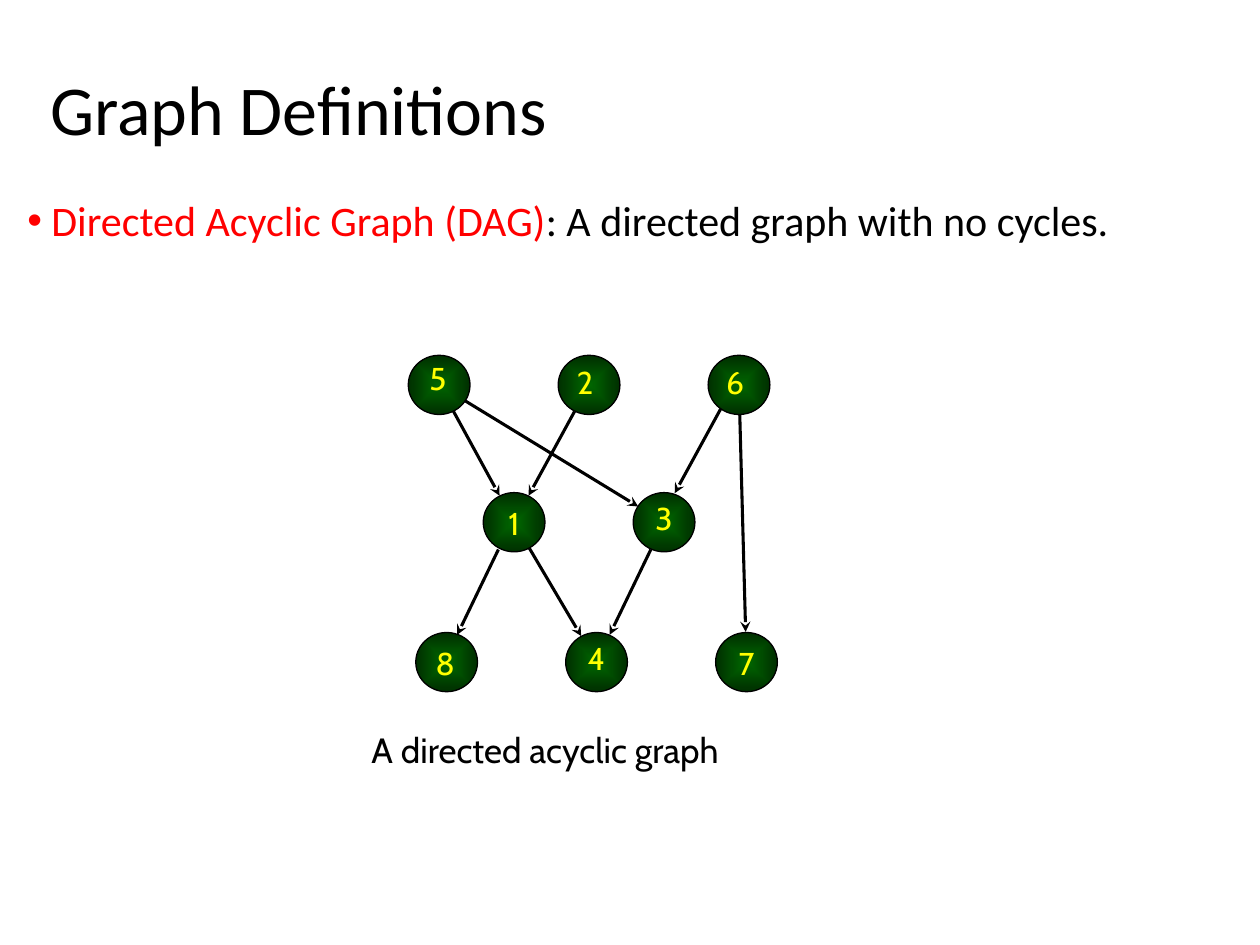
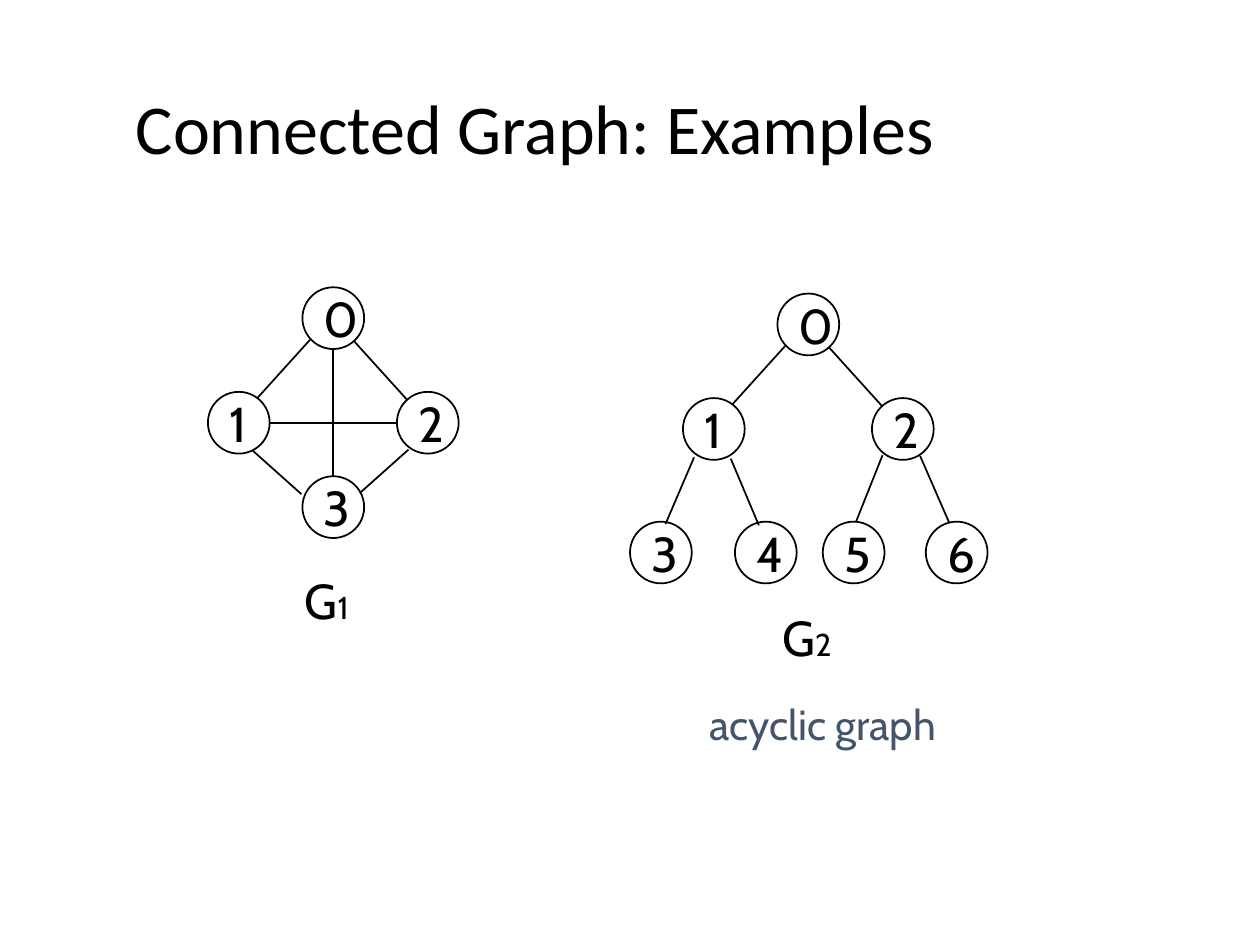
from math import hypot

from lxml import etree
from pptx import Presentation
from pptx.dml.color import RGBColor
from pptx.enum.shapes import MSO_CONNECTOR, MSO_SHAPE
from pptx.enum.text import MSO_ANCHOR, PP_ALIGN
from pptx.oxml.ns import qn
from pptx.util import Inches, Pt

OVAL = MSO_SHAPE.OVAL
STRAIGHT = MSO_CONNECTOR.STRAIGHT
TOP, MIDDLE = MSO_ANCHOR.TOP, MSO_ANCHOR.MIDDLE
LEFT, CENTER = PP_ALIGN.LEFT, PP_ALIGN.CENTER

BLACK = RGBColor(0x00, 0x00, 0x00)
WHITE = RGBColor(0xFF, 0xFF, 0xFF)
RED = RGBColor(0xFF, 0x00, 0x00)
YELLOW = RGBColor(0xFF, 0xFF, 0x00)
SLATE = RGBColor(0x44, 0x54, 0x6A)
GREEN = RGBColor(0x00, 0x66, 0x00)
DARK_GREEN = RGBColor(0x00, 0x2F, 0x00)

TITLE_FONT, GRAPH_FONT = "Calibri", "Cabin"
TITLE = {"size": 40, "font": TITLE_FONT, "anchor": MIDDLE}

# Content: each row is (top, {node: column}); an edge may end with a (dx, dy) shift
DAG = {
    "left": 3.24, "step": 1.19, "size": (0.49, 0.47),
    "rows": [
        (2.82, {"5": 0, "2": 1, "6": 2}),
        (3.91, {"1": 0.5, "3": 1.5}),
        (5.02, {"8": 0.05, "4": 1.05, "7": 2.05}),
    ],
    "edges": [
        ("5", "1"), ("2", "1"), ("5", "3"), ("3", "4"), ("1", "4"),
        ("6", "7"), ("6", "3", (-0.03, -0.02)), ("1", "8", (-0.02, 0)),
    ],
}
DAG_LABEL_OFFSETS = {
    "5": (0, -0.02), "2": (-0.02, 0.01), "6": (-0.02, 0.01), "1": (0.01, 0.04),
    "3": (0.01, 0), "8": (0, 0.04), "4": (0.01, 0), "7": (0.01, 0.04),
}
COMPLETE_GRAPH = {
    "left": 1.65, "step": 0.75, "size": (0.49, 0.49),
    "rows": [(2.28, {"0": 1}), (3.11, {"1": 0, "2": 2}), (3.78, {"3": 1})],
    "edges": [
        ("0", "3"), ("1", "2"), ("0", "1", (-0.02, -0.01)), ("0", "2"),
        ("1", "3", (-0.07, 0.06)), ("2", "3", (0.03, 0.05)),
    ],
}
TREE = {
    "left": 5.42, "step": 0.75, "size": (0.49, 0.49),
    "rows": [
        (2.33, {"0": 1}),
        (3.16, {"1": 0, "2": 2}),
        (4.14, {"3": -0.56, "4": 0.55, "5": 1.48, "6": 2.57}),
    ],
    "edges": [
        ("0", "1", (-0.02, -0.01)), ("0", "2"), ("1", "3", (-0.06, 0)),
        ("1", "4", (0.04, 0.01)), ("2", "5", (-0.07, -0.02)), ("2", "6", (0.04, -0.01)),
    ],
}
GRAPH_NAMES = [("1", 2.32, 4.48), ("2", 6.11, 4.77)]


def write_text(frame, runs, size=18, font=GRAPH_FONT, color=BLACK, align=LEFT,
               anchor=TOP, wrap=True, line_spacing=None):
    """Fill a frame with one paragraph; a run is text or (text, overrides)."""
    frame.word_wrap = wrap
    frame.vertical_anchor = anchor
    paragraph = frame.paragraphs[0]
    paragraph.alignment = align
    if line_spacing:
        paragraph.line_spacing = line_spacing
    for item in [runs] if isinstance(runs, str) else runs:
        text, changes = (item, {}) if isinstance(item, str) else item
        run = paragraph.add_run()
        run.text = text
        run.font.name = font
        run.font.size = Pt(changes.get("size", size))
        run.font.color.rgb = changes.get("color", color)
    return paragraph


def add_text(slide, runs, box, **text_format):
    shape = slide.shapes.add_textbox(*map(Inches, box))
    return write_text(shape.text_frame, runs, **text_format)


def add_bullet(paragraph, indent):
    properties = paragraph._p.get_or_add_pPr()
    properties.set("marL", str(Inches(indent)))
    properties.set("indent", str(-Inches(indent)))
    font = etree.SubElement(properties, qn("a:buFont"))
    font.set("typeface", "Arial")
    etree.SubElement(properties, qn("a:buChar")).set("char", "•")


def fill_radial(shape, inner, outer):
    shape.fill.gradient()
    for stop, color in zip(shape.fill.gradient_stops, (inner, outer)):
        stop.color.rgb = color
    gradient = shape._element.spPr.find(qn("a:gradFill"))
    gradient.remove(gradient.find(qn("a:lin")))
    radial = etree.SubElement(gradient, qn("a:path"))
    radial.set("path", "shape")
    center = etree.SubElement(radial, qn("a:fillToRect"))
    for side in "ltrb":
        center.set(side, "50000")


def add_node(slide, box, line_width):
    shape = slide.shapes.add_shape(OVAL, *map(Inches, box))
    shape.shadow.inherit = False
    shape.line.color.rgb = BLACK
    shape.line.width = Pt(line_width)
    return shape


def add_edge(slide, start, end, width, arrow):
    points = [Inches(value) for value in (*start, *end)]
    connector = slide.shapes.add_connector(STRAIGHT, *points)
    connector.line.color.rgb = BLACK
    connector.line.width = Pt(width)
    if arrow:
        tail = etree.SubElement(connector.line._get_or_add_ln(), qn("a:tailEnd"))
        tail.set("type", "stealth")
    etree.SubElement(connector._element.spPr, qn("a:effectLst"))


def place_nodes(graph):
    """Return the box of every node, from its row and column."""
    return {
        label: (graph["left"] + graph["step"] * column, top, *graph["size"])
        for top, row in graph["rows"] for label, column in row.items()
    }


def draw_edges(slide, graph, boxes, width, arrow=False):
    """Join the rims of the nodes along the line between their centres."""
    radius = sum(graph["size"]) / 4
    for source, target, *shift in graph["edges"]:
        (x1, y1), (x2, y2) = [
            (left + w / 2, top + h / 2)
            for left, top, w, h in (boxes[source], boxes[target])
        ]
        share = radius / hypot(x2 - x1, y2 - y1)
        trim_x, trim_y = (x2 - x1) * share, (y2 - y1) * share
        dx, dy = shift[0] if shift else (0, 0)
        add_edge(slide, (x1 + trim_x + dx, y1 + trim_y + dy),
                 (x2 - trim_x + dx, y2 - trim_y + dy), width, arrow)


def build_dag_slide(slide):
    add_text(slide, "Graph Definitions", (0.3, 0.42, 8.52, 0.95),
             line_spacing=0.9, **TITLE)
    definition = add_text(
        slide,
        [("Directed Acyclic Graph (DAG)", {"color": RED}),
         ": A directed graph with no cycles."],
        (0.12, 1.54, 9.13, 0.84), size=24, font=TITLE_FONT, line_spacing=0.9)
    definition.space_before = Pt(7.5)
    add_bullet(definition, 0.19)
    add_text(slide, "A directed acyclic graph", (2.85, 5.73, 3.94, 0.43), size=20)

    boxes = place_nodes(DAG)
    for label, box in boxes.items():
        fill_radial(add_node(slide, box, 0.75), GREEN, DARK_GREEN)
        dx, dy = DAG_LABEL_OFFSETS[label]
        add_text(slide, label, (box[0] + dx, box[1] + dy, 0.47, 0.4),
                 color=YELLOW, align=CENTER)
    draw_edges(slide, DAG, boxes, 1.75, arrow=True)


def build_examples_slide(slide):
    add_text(slide, "Connected Graph: Examples", (0.98, 0.62, 8.35, 0.77), **TITLE)
    for graph in (COMPLETE_GRAPH, TREE):
        boxes = place_nodes(graph)
        for label, box in boxes.items():
            node = add_node(slide, box, 1)
            node.fill.solid()
            node.fill.fore_color.rgb = WHITE
            write_text(node.text_frame, label, size=28, anchor=MIDDLE, wrap=False)
        draw_edges(slide, graph, boxes, 1)

    # Captions
    for number, left, top in GRAPH_NAMES:
        add_text(slide, ["G", (number, {"size": 18})], (left, top, 0.61, 0.57),
                 size=28, wrap=False)
    add_text(slide, "acyclic graph", (5.53, 5.49, 2.12, 0.5),
             size=24, color=SLATE, anchor=MIDDLE, wrap=False)


def main():
    presentation = Presentation()
    presentation.slide_width, presentation.slide_height = Inches(10), Inches(7.5)
    blank = presentation.slide_layouts[6]
    for build in (build_dag_slide, build_examples_slide):
        build(presentation.slides.add_slide(blank))
    presentation.save("out.pptx")


if __name__ == "__main__":
    main()
